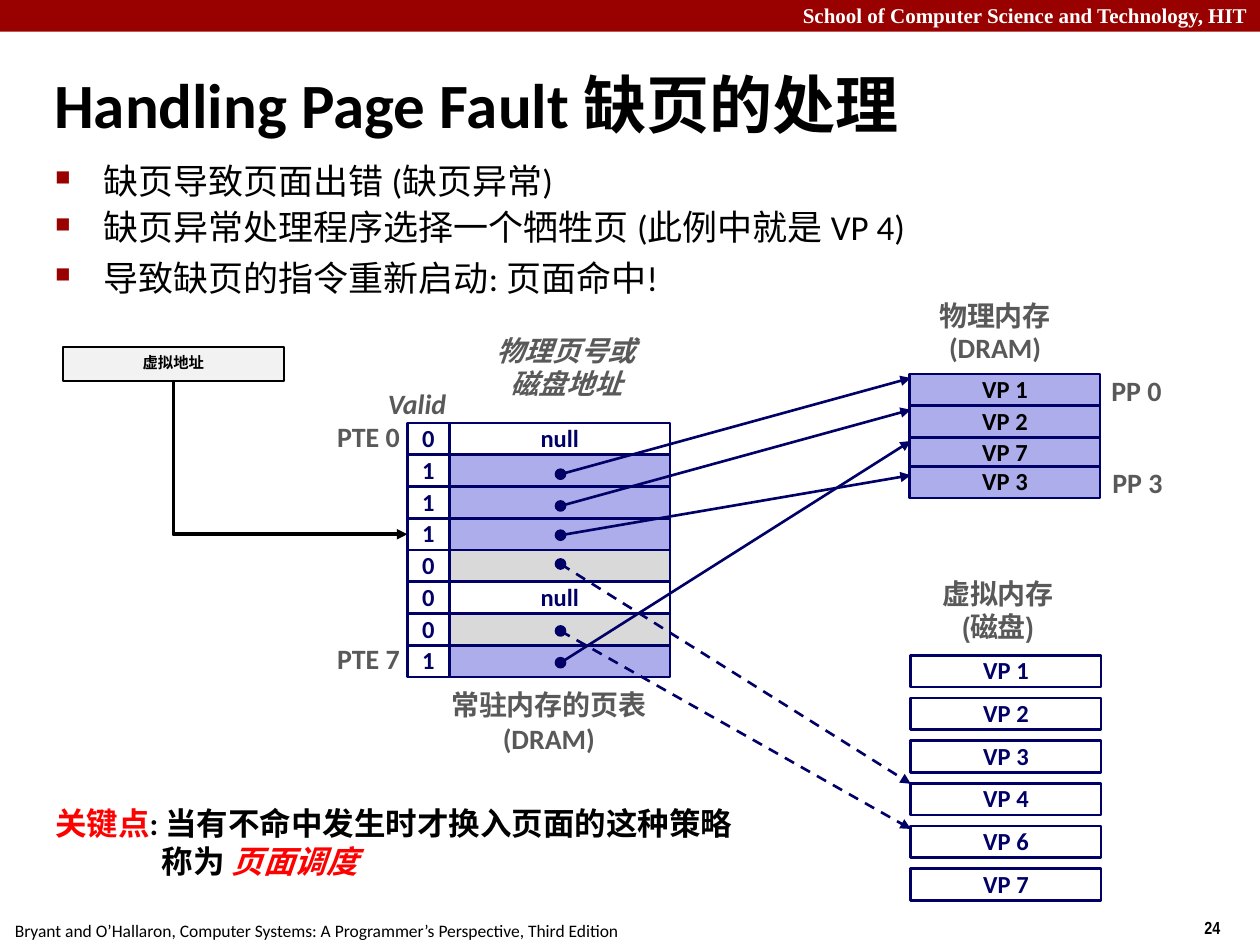
import lxml.etree
import pptx
import pptx.dml.color
import pptx.enum.dml
import pptx.enum.shapes
import pptx.enum.text
import pptx.oxml.ns
import pptx.util

Cm = pptx.util.Cm
Pt = pptx.util.Pt
RGBColor = pptx.dml.color.RGBColor
qn = pptx.oxml.ns.qn
ALIGN = pptx.enum.text.PP_ALIGN
ANCHOR = pptx.enum.text.MSO_ANCHOR
SHAPE = pptx.enum.shapes.MSO_SHAPE
LINK = pptx.enum.shapes.MSO_CONNECTOR

BLACK = RGBColor(0x00, 0x00, 0x00)
WHITE = RGBColor(0xFF, 0xFF, 0xFF)
CRIMSON = RGBColor(0x99, 0x00, 0x00)
RED = RGBColor(0xFF, 0x00, 0x00)
NAVY = RGBColor(0x00, 0x00, 0x66)
LILAC = RGBColor(0xAD, 0xAD, 0xEB)
SILVER = RGBColor(0xD9, 0xD9, 0xD9)
PALE = RGBColor(0xF2, 0xF2, 0xF2)
GRAY = RGBColor(0x59, 0x59, 0x59)


def draw(x, y, wide, high, fill, edge, weight=1.5, kind=SHAPE.RECTANGLE):
    shape = slide.shapes.add_shape(kind, Cm(x), Cm(y), Cm(wide), Cm(high))
    shape.shadow.inherit = False
    if fill is None:
        shape.fill.background()
    else:
        shape.fill.solid()
        shape.fill.fore_color.rgb = fill
    if edge is None:
        shape.line.fill.background()
    else:
        shape.line.color.rgb = edge
        shape.line.width = Pt(weight)
    return shape


def write(shape, lines, size, color, face="Calibri", bold=True, slant=False,
          align=ALIGN.CENTER, anchor=ANCHOR.MIDDLE, wrap=False, space=None):
    frame = shape.text_frame
    frame.word_wrap = wrap
    frame.vertical_anchor = anchor
    for index, line in enumerate(lines):
        para = frame.paragraphs[0] if index == 0 else frame.add_paragraph()
        para.text = line
        para.alignment = align
        para.line_spacing = space
        para.font.size = Pt(size)
        para.font.name = face
        para.font.bold = bold
        para.font.italic = slant
        para.font.color.rgb = color
    return frame.paragraphs


deck = pptx.Presentation()
deck.slide_width = Cm(25.4)
deck.slide_height = Cm(19.05)
slide = deck.slides.add_slide(deck.slide_layouts[5])

title = slide.shapes.title
title.left, title.top, title.width, title.height = Cm(0.84), Cm(0.99), Cm(23.01), Cm(2.18)
write(title, ["Handling Page Fault 缺页的处理"], 36, BLACK, align=ALIGN.LEFT, wrap=True)

draw(0, 0, 25.4, 0.64, CRIMSON, None)
band = slide.shapes.add_textbox(Cm(0), Cm(-0.08), Cm(25.4), Cm(0.76))
write(band, ["School of Computer Science and Technology, HIT"], 12, WHITE,
      "Times New Roman", align=ALIGN.RIGHT, anchor=ANCHOR.TOP, wrap=True)
source = slide.shapes.add_textbox(Cm(0.05), Cm(18.42), Cm(12.73), Cm(0.69))
write(source, ["Bryant and O’Hallaron, Computer Systems: A Programmer’s Perspective, Third Edition"],
      10, BLACK, bold=False, align=ALIGN.LEFT, anchor=ANCHOR.TOP)
number = slide.shapes.add_textbox(Cm(24.03), Cm(18.36), Cm(1.0), Cm(0.69))
write(number, ["24"], 10, BLACK, "Arial Narrow", align=ALIGN.LEFT, anchor=ANCHOR.TOP)

body = slide.shapes.add_textbox(Cm(0.86), Cm(3.18), Cm(23.09), Cm(3.15))
points = write(body, ["缺页导致页面出错 (缺页异常)",
                      "缺页异常处理程序选择一个牺牲页 (此例中就是 VP 4)",
                      "导致缺页的指令重新启动: 页面命中!"],
               20, BLACK, bold=False, align=ALIGN.LEFT, anchor=ANCHOR.TOP, wrap=True, space=0.9)
points[2].line_spacing = 1.0
for point in points:
    point.space_before = Pt(5)
for props in body.element.iter(qn("a:pPr")):
    props.set("marL", str(Cm(0.97)))
    props.set("indent", str(Cm(-0.97)))
    tint = lxml.etree.Element(qn("a:buClr"))
    lxml.etree.SubElement(tint, qn("a:srgbClr"), val=str(CRIMSON))
    scale = lxml.etree.Element(qn("a:buSzPct"), val="60000")
    mark = lxml.etree.Element(qn("a:buChar"), char="■")
    for node in (tint, scale, mark):
        props[-1].addprevious(node)

PITCH = 0.64
rows = [("0", "null", WHITE), ("1", "", LILAC), ("1", "", LILAC), ("1", "", LILAC),
        ("0", "", SILVER), ("0", "null", WHITE), ("0", "", SILVER), ("1", "", LILAC)]
flags = []
for index, (valid, entry, fill) in enumerate(rows):
    top = 8.53 + index * PITCH
    cell = draw(9.06, top, 4.45, PITCH, fill, NAVY)
    if entry:
        write(cell, [entry], 14, NAVY, space=0.98)
    flag = draw(8.21, top, 0.85, PITCH, None, NAVY)
    write(flag, [valid], 14, NAVY, space=0.98)
    flags.append(flag)

for name, top in [("VP 7", 8.81), ("VP 3", 9.4), ("VP 2", 8.18), ("VP 1", 7.54)]:
    page = draw(18.34, top, 3.84, PITCH, LILAC, NAVY)
    write(page, [name], 14, BLACK, space=0.98)
for index, digit in enumerate("123467"):
    page = draw(18.36, 13.21 + index * 0.86, 3.84, PITCH, WHITE, NAVY)
    write(page, [f"VP {digit}"], 14, NAVY, space=0.98)

address = draw(1.27, 6.99, 4.45, 0.69, PALE, BLACK, 1)
write(address, ["虚拟地址"], 8.8, BLACK, "Arial Narrow", wrap=True, space=0.8)

links = []
DOT = 0.2
for start, end, dashed in [(9.56, 7.62, False), (10.2, 8.26, False), (10.79, 9.58, False),
                           (11.37, 15.8, True), (12.72, 16.71, True), (13.36, 8.89, False)]:
    link = slide.shapes.add_connector(LINK.STRAIGHT, Cm(11.3), Cm(start), Cm(18.36), Cm(end))
    link.line.color.rgb = NAVY
    link.line.width = Pt(1.5)
    if dashed:
        link.line.dash_style = pptx.enum.dml.MSO_LINE.DASH
    links.append(link)
    draw(11.3 - DOT / 2, start - DOT / 2, DOT, DOT, NAVY, NAVY, 1, SHAPE.OVAL)

elbow = slide.shapes.add_connector(LINK.ELBOW, Cm(3.5), Cm(7.68), Cm(8.21), Cm(10.76))
elbow.begin_connect(address, 2)
elbow.end_connect(flags[3], 1)
wide, high = elbow.width, elbow.height
elbow.left += (wide - high) // 2
elbow.top += (high - wide) // 2
elbow.width, elbow.height = high, wide
frame = elbow.element.spPr.find(qn("a:xfrm"))
frame.set("rot", str(270 * 60000))
frame.set("flipH", "1")
elbow.element.spPr.find(qn("a:prstGeom")).set("prst", "bentConnector2")
elbow.line.color.rgb = BLACK
elbow.line.width = Pt(2)
links.append(elbow)

for link in links:
    props = link.element.spPr
    lxml.etree.SubElement(props.find(qn("a:ln")), qn("a:tailEnd"), type="triangle")
    lxml.etree.SubElement(props, qn("a:effectLst"))

labels = [
    (6.53, 8.36, 1.78, 0.91, ["PTE 0"], ALIGN.RIGHT, False, 0.98),
    (6.53, 12.85, 1.78, 0.91, ["PTE 7"], ALIGN.RIGHT, False, 0.98),
    (22.15, 7.44, 1.52, 0.91, ["PP 0"], ALIGN.CENTER, False, 0.98),
    (22.17, 9.3, 1.52, 0.91, ["PP 3"], ALIGN.CENTER, False, 0.98),
    (7.57, 7.7, 1.9, 0.91, ["Valid"], ALIGN.LEFT, True, 0.98),
    (18.45, 11.48, 3.34, 1.63, ["虚拟内存", "(磁盘)"], ALIGN.CENTER, False, None),
    (8.64, 13.74, 4.85, 1.6, ["常驻内存的页表", "(DRAM)"], ALIGN.CENTER, False, None),
    (18.39, 5.92, 3.34, 1.57, ["物理内存", "(DRAM)"], ALIGN.CENTER, False, 0.98),
    (9.55, 6.58, 3.73, 1.63, ["物理页号或", "磁盘地址"], ALIGN.CENTER, True, None),
]
for x, y, wide, high, lines, align, slant, space in labels:
    label = slide.shapes.add_textbox(Cm(x), Cm(y), Cm(wide), Cm(high))
    for para in write(label, lines, 16, GRAY, "Arial Narrow", slant=slant, align=align, space=space):
        if para.text.isascii():
            para.font.name = "Calibri"

key = slide.shapes.add_textbox(Cm(0.86), Cm(16.08), Cm(16.08), Cm(1.78))
first, second = write(key, ["关键点", "称为 "], 18, BLACK, align=ALIGN.LEFT,
                      anchor=ANCHOR.TOP, wrap=True)
first.runs[0].font.color.rgb = RED
first.add_run().text = ": 当有不命中发生时才换入页面的这种策略"
term = second.add_run()
term.text = "页面调度"
term.font.color.rgb = RED
term.font.italic = True
list(key.element.iter(qn("a:pPr")))[1].set("marL", str(Cm(2.15)))

deck.save("out.pptx")
